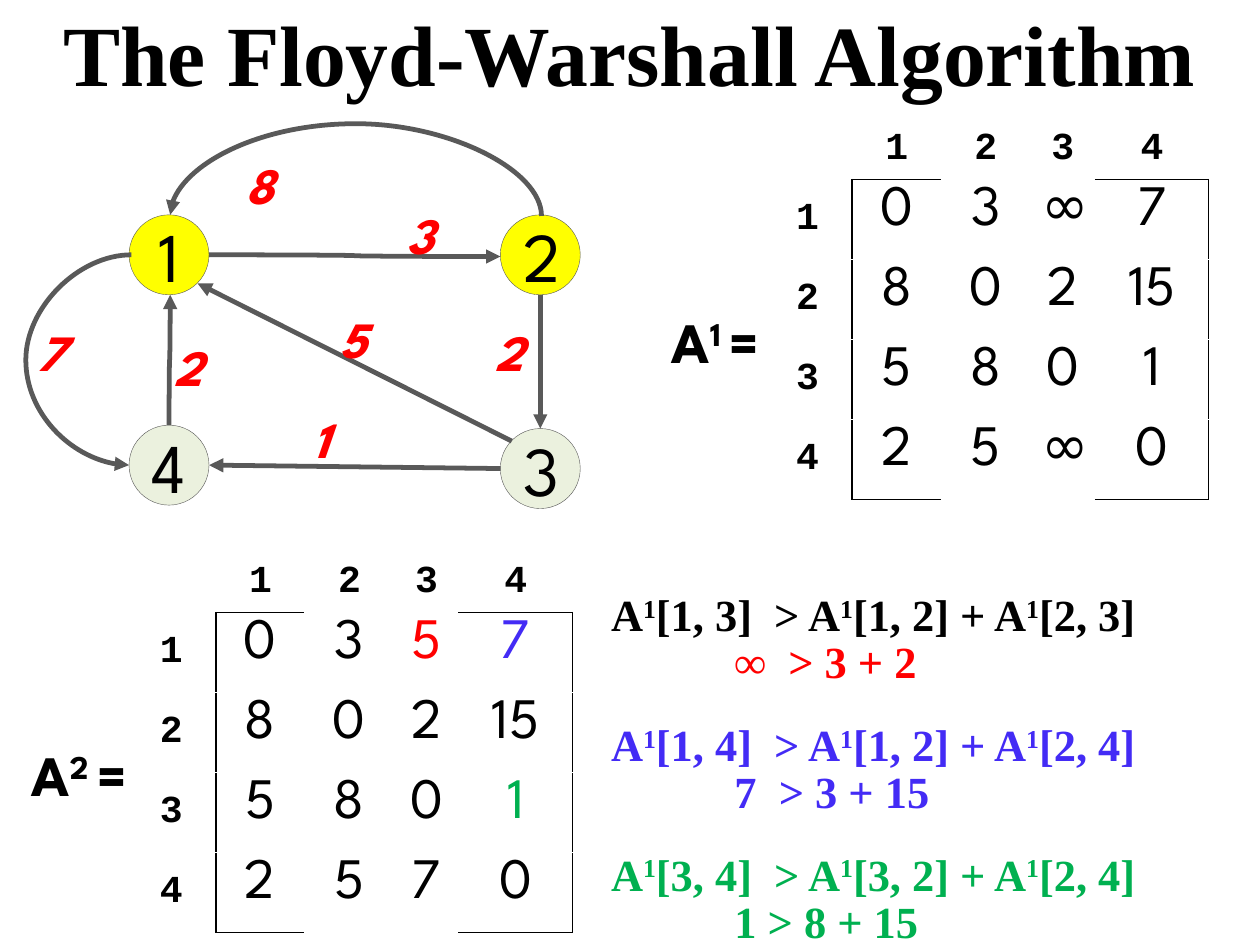
from dataclasses import dataclass

import pptx
import pptx.dml.color
import pptx.enum.shapes
import pptx.enum.text
import pptx.oxml.ns
import pptx.util
from lxml import etree

COLUMNS, ROWS = 110.3, 82.6
CENTER = pptx.enum.text.PP_ALIGN.CENTER
LEFT = pptx.enum.text.PP_ALIGN.LEFT
MIDDLE = pptx.enum.text.MSO_ANCHOR.MIDDLE
TOP = pptx.enum.text.MSO_ANCHOR.TOP
STRAIGHT = pptx.enum.shapes.MSO_CONNECTOR.STRAIGHT
CURVE = pptx.enum.shapes.MSO_CONNECTOR.CURVE


@dataclass(frozen=True)
class Theme:
    """Colours, typefaces and type sizes of the slide."""
    ink: str = "000000"
    edge: str = "595959"
    visited: str = "FFFF00"
    unvisited: str = "EBF1DE"
    red: str = "FF0000"
    blue: str = "432BF5"
    green: str = "00B050"
    display: str = "League Spartan"
    serif: str = "Times New Roman"
    mono: str = "Courier New"
    title_size: int = 54
    node_size: int = 44
    matrix_size: int = 36
    weight_size: int = 32
    formula_size: int = 28
    index_size: int = 24


@dataclass(frozen=True)
class Box:
    """A region measured in grid columns and rows."""
    left: float
    top: float
    width: float
    height: float

    def within(self, left, top, width, height):
        """Return a region placed relative to this one."""
        return Box(self.left + left, self.top + top, width, height)

    def emu(self):
        """Return the region as slide lengths."""
        return [cells(n) for n in (self.left, self.top, self.width, self.height)]


THEME = Theme()


def cells(count):
    """Convert grid cells, a tenth of an inch each, to a length."""
    return pptx.util.Inches(count / 10)


def rgb(colour):
    """Return a colour object for a hex string."""
    return pptx.dml.color.RGBColor.from_string(colour)


def child(parent, tag, **attributes):
    """Append a drawing element with the given attributes."""
    return etree.SubElement(parent, pptx.oxml.ns.qn(tag), attributes)


def write(frame, text, face, size, colour, bold=False, italic=False, align=CENTER):
    """Write one paragraph, raising the parts between carets."""
    paragraph = frame.paragraphs[0]
    paragraph.alignment = align
    font = paragraph.font
    font.name, font.size, font.bold, font.italic = face, pptx.util.Pt(size), bold, italic
    font.color.rgb = rgb(colour)
    for position, part in enumerate(text.split("^")):
        run = paragraph.add_run()
        run.text = part
        if position % 2:
            run.font._element.set("baseline", "30000")


def add_text(slide, box, *text, **style):
    """Add a wrapped text box without side insets."""
    frame = slide.shapes.add_textbox(*box.emu()).text_frame
    frame.word_wrap = True
    frame.margin_left = frame.margin_right = frame.margin_bottom = 0
    frame.margin_top = cells(0.1)
    write(frame, *text, bold=True, **style)


def add_edge(slide, kind, start, end, bend=None, upward=False):
    """Add an arrow; an upward curve leaves its start vertically."""
    (x0, y0), (x1, y1) = start, end
    if upward:
        middle_x, middle_y = (x0 + x1) / 2, (y0 + y1) / 2
        rise, run = (y0 - y1) / 2, (x1 - x0) / 2
        x0, x1 = middle_x - rise, middle_x + rise
        y0, y1 = middle_y - run, middle_y + run
    edge = slide.shapes.add_connector(kind, *map(cells, (x0, y0, x1, y1)))
    edge.line.color.rgb = rgb(THEME.edge)
    edge.line.width = pptx.util.Pt(3)
    properties = edge._element.spPr
    child(properties.find(pptx.oxml.ns.qn("a:ln")), "a:tailEnd", type="triangle")
    child(properties, "a:effectLst")
    if upward:
        properties.find(pptx.oxml.ns.qn("a:xfrm")).set("rot", "16200000")
    if bend:
        guides = next(properties.iter(pptx.oxml.ns.qn("a:avLst")))
        child(guides, "a:gd", name="adj1", fmla=f"val {bend * 100000}")


def add_graph(slide, box):
    """Draw the weighted directed graph."""
    diameter = 7
    radius = diameter / 2
    nodes = {1: (12.5, 11.7, THEME.visited), 4: (12.5, 30.1, THEME.unvisited),
             2: (45, 11.7, THEME.visited), 3: (45, 30.4, THEME.unvisited)}
    for name, (x, y, fill) in nodes.items():
        place = box.within(x - radius, y - radius, diameter, diameter)
        node = slide.shapes.add_shape(pptx.enum.shapes.MSO_SHAPE.OVAL, *place.emu())
        node.shadow.inherit = False
        node.fill.solid()
        node.fill.fore_color.rgb = rgb(fill)
        node.line.color.rgb = rgb(THEME.edge)
        node.line.width = pptx.util.Pt(0.25)
        node.text_frame.vertical_anchor = MIDDLE
        write(node.text_frame, str(name), THEME.display, THEME.node_size, THEME.ink)

    def point(name, x, y):
        """Return a place given from the centre of a node."""
        return box.left + nodes[name][0] + x, box.top + nodes[name][1] + y

    edges = [(STRAIGHT, (3, -2.5, -2.4), (1, 2.5, 2.5), {}),
             (STRAIGHT, (2, 0, radius), (3, 0, -radius), {}),
             (STRAIGHT, (3, -radius, 0), (4, radius, 0), {}),
             (CURVE, (1, radius, 0), (2, -radius, 0.15), {}),
             (CURVE, (2, 0.1, -3.4), (1, 0.1, -radius), {"bend": 82, "upward": True}),
             (CURVE, (1, -3.3, 0), (4, -radius, 0), {"bend": 46}),
             (CURVE, (4, 0, -radius), (1, 0.1, radius), {"upward": True})]
    for kind, start, end, shape in edges:
        add_edge(slide, kind, point(*start), point(*end), **shape)

    weights = [("7", 0, 17), ("2", 40, 17), ("1", 24.1, 24.6), ("5", 26.4, 15.8),
               ("3", 32.3, 6.7), ("8", 18.2, 2.4), ("2", 11.9, 18.3)]
    for weight, x, y in weights:
        label = slide.shapes.add_textbox(*box.within(x, y, 4.7, 6.4).emu())
        label.text_frame.word_wrap = False
        write(label.text_frame, weight, THEME.display, THEME.weight_size, THEME.red,
              bold=True, italic=True, align=LEFT)


def add_borders(cell, sides):
    """Draw thin black borders on the named sides of a cell."""
    properties = cell._tc.get_or_add_tcPr()
    for position, side in enumerate(s for s in "LRTB" if s in sides):
        line = etree.Element(pptx.oxml.ns.qn(f"a:ln{side}"), w="12700")
        child(child(line, "a:solidFill"), "a:srgbClr", val=THEME.ink)
        properties.insert(position, line)


def matrix_sides(row, column, last):
    """Return the bracket sides that touch a cell."""
    outer = column in (1, last)
    rules = {"L": row and column == 1, "R": row and column in (0, last),
             "T": row == 1 and outer, "B": row in (0, last) and outer}
    return [side for side, drawn in rules.items() if drawn]


def add_matrix(slide, box, name, values, accents):
    """Draw a named distance matrix with row and column indices."""
    add_text(slide, box.within(0, 16, 12.3, 6.2), name, THEME.display,
             THEME.matrix_size, THEME.ink)
    last = len(values)
    grid = [["", *map(str, range(1, last + 1))]]
    grid += [[str(index), *row.split()] for index, row in enumerate(values, 1)]
    place = box.within(10.3, 0, 38.9, 33)
    table = slide.shapes.add_table(last + 1, last + 1, *place.emu()).table
    table.first_row = table.horz_banding = False
    for column, width in zip(table.columns, (7.8, 7.8, 7.8, 5.7, 9.9)):
        column.width = cells(width)
    for r, row in enumerate(grid):
        table.rows[r].height = cells(7 if r else 5)
        for c, value in enumerate(row):
            cell = table.cell(r, c)
            cell.fill.background()
            cell.vertical_anchor = MIDDLE if r and not c else TOP
            add_borders(cell, matrix_sides(r, c, last))
            inside = r and c
            if value:
                write(cell.text_frame, value, THEME.display if inside else THEME.mono,
                      THEME.matrix_size if inside else THEME.index_size,
                      accents.get((r, c), THEME.ink), bold=not inside)


def add_comparisons(slide, box):
    """List the path comparisons, each above its numbers."""
    comparisons = [
        ("A^1^[1, 3]  > A^1^[1, 2] + A^1^[2, 3]", THEME.ink, "∞  > 3 + 2", THEME.red),
        ("A^1^[1, 4]  > A^1^[1, 2] + A^1^[2, 4]", THEME.blue, "7  > 3 + 15", THEME.blue),
        ("A^1^[3, 4]  > A^1^[3, 2] + A^1^[2, 4]", THEME.green, "1 > 8 + 15", THEME.green)]
    for index, (formula, colour, numbers, accent) in enumerate(comparisons):
        top = index * box.height / len(comparisons)
        add_text(slide, box.within(0, top, box.width, 4.9), formula, THEME.serif,
                 THEME.formula_size, colour, align=LEFT)
        add_text(slide, box.within(10.8, top + 4.1, 20, 4.9), numbers, THEME.serif,
                 THEME.formula_size, accent, align=LEFT)


def main():
    """Build and save the slide."""
    deck = pptx.Presentation()
    deck.slide_width, deck.slide_height = cells(COLUMNS), cells(ROWS)
    slide = deck.slides.add_slide(deck.slide_layouts[6])
    add_graph(slide, Box(2.3, 10.6, 48.5, 34))
    add_text(slide, Box(3.2, 0, 103.8, 9.2), "The Floyd-Warshall Algorithm",
             THEME.serif, THEME.title_size, THEME.ink)
    add_matrix(slide, Box(56.5, 10.7, 49.2, 33), "A^1 ^=",
               ["0 3 ∞ 7", "8 0 2 15", "5 8 0 1", "2 5 ∞ 0"], {})
    add_matrix(slide, Box(0.8, 48.6, 49.2, 33), "A^2 ^=",
               ["0 3 5 7", "8 0 2 15", "5 8 0 1", "2 5 7 0"],
               {(1, 3): THEME.red, (1, 4): THEME.blue, (3, 4): THEME.green})
    add_comparisons(slide, Box(53.5, 51.3, 55, 34.05))
    deck.save("out.pptx")


if __name__ == "__main__":
    main()
